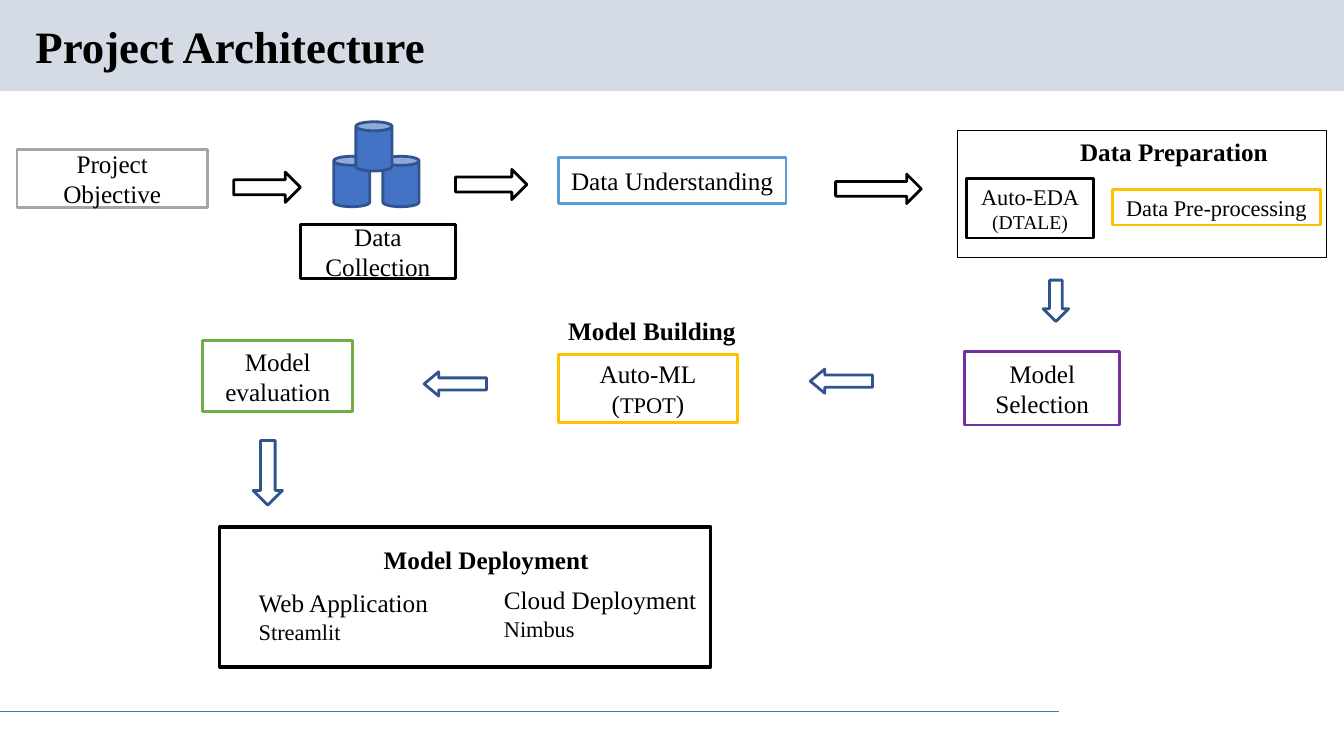
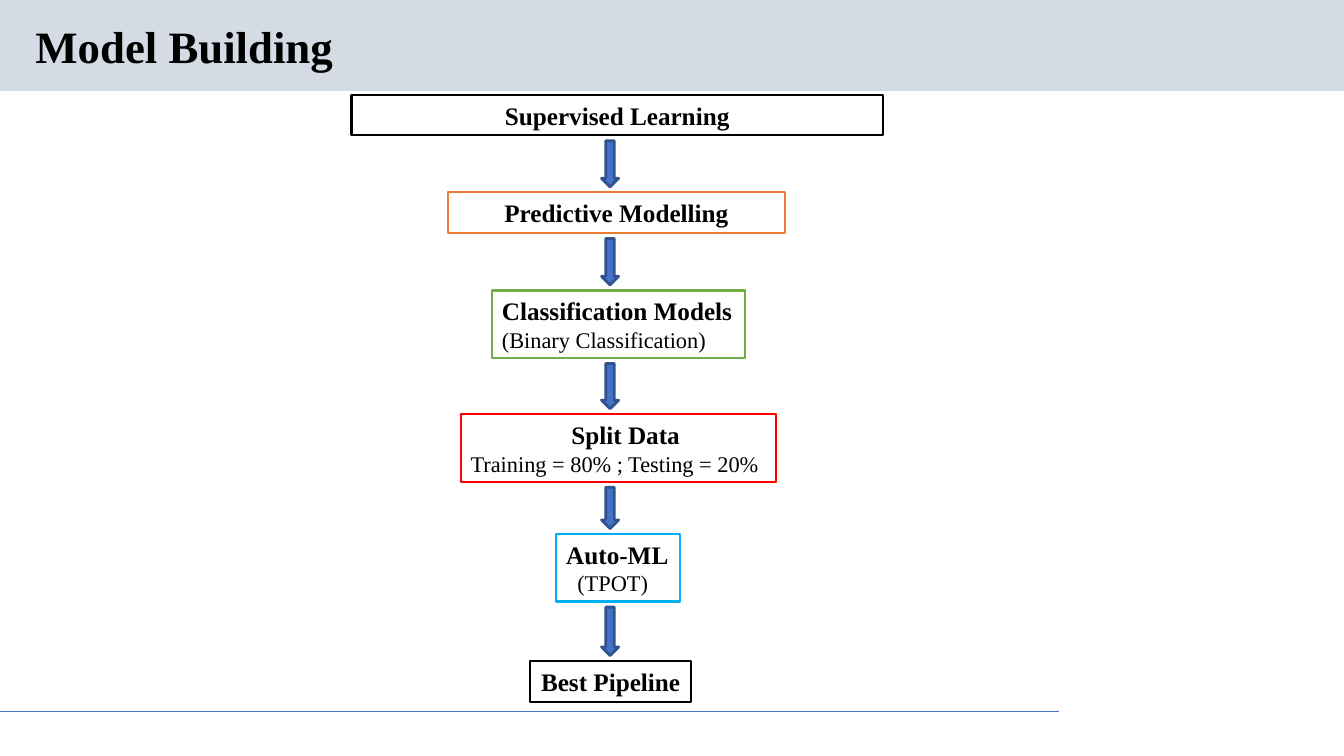
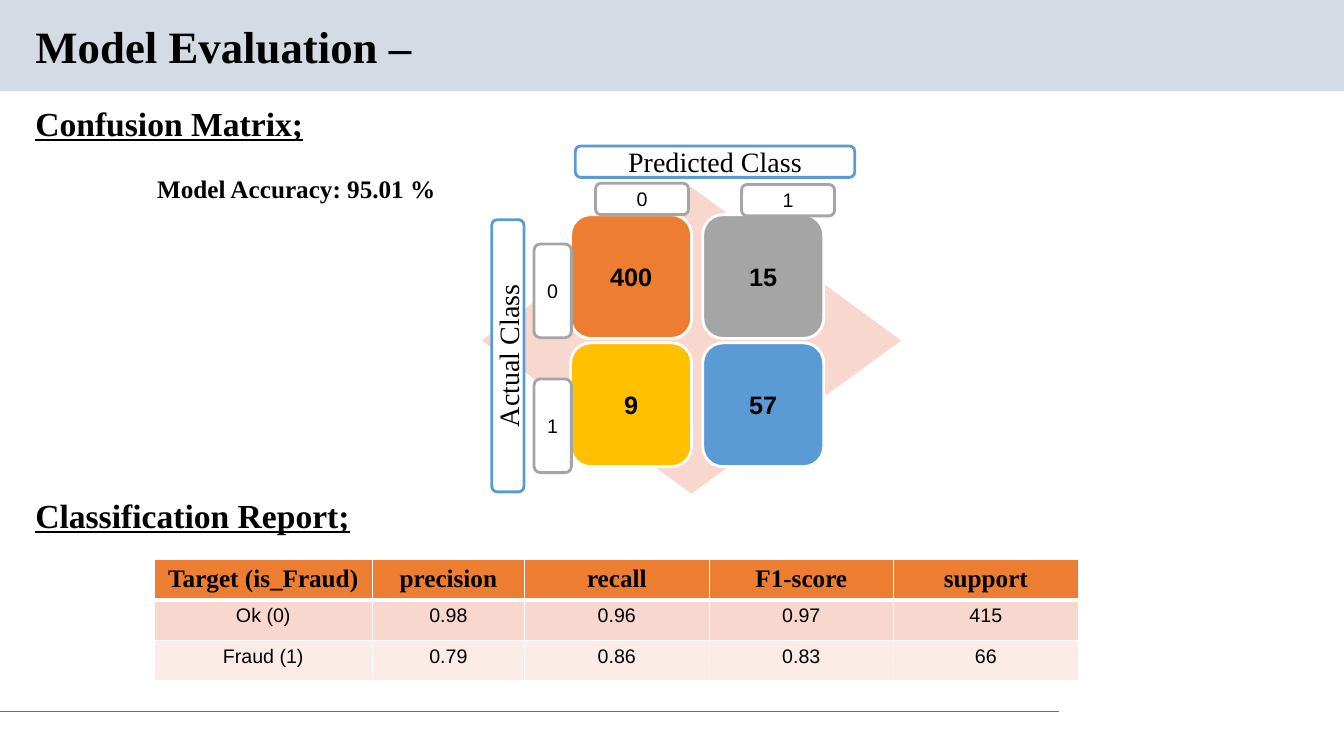
from dataclasses import dataclass
from itertools import pairwise, product

from lxml import etree
from pptx import Presentation
from pptx.dml.color import RGBColor
from pptx.enum.shapes import MSO_CONNECTOR, MSO_SHAPE as Kind
from pptx.enum.text import MSO_ANCHOR, PP_ALIGN as Align
from pptx.oxml.ns import qn
from pptx.util import Cm, Pt

SERIF, SANS = "Times New Roman", "Arial"
COLORS = {
    "band": "D5DBE5", "black": "000000", "white": "FFFFFF", "blue": "4472C4",
    "navy": "31538F", "sky": "5B9BD5", "cyan": "00B0F0", "gray": "A5A5A5",
    "orange": "ED7D31", "gold": "FFC000", "green": "70AD47", "red": "FF0000",
    "purple": "7030A0", "peach": "F8D7CE", "blush": "FCECE8",
}
Rect = tuple[float, float, float, float]  # left, top, width, height in cm


@dataclass(frozen=True)
class Line:
    """One paragraph; text may be split into (text, size) runs."""
    text: str | tuple[tuple[str, int], ...]
    size: int = 18
    bold: bool = False
    font: str = SERIF
    underline: bool = False
    indent: float = 0


@dataclass(frozen=True)
class Box:
    at: Rect
    lines: tuple[Line, ...] = ()
    edge: str | None = "black"
    fill: str | None = None
    weight: float = 2
    kind: Kind = Kind.RECTANGLE
    align: Align = Align.CENTER
    anchor: MSO_ANCHOR = MSO_ANCHOR.MIDDLE
    wrap: bool = True
    rotation: float = 0


def rgb(name: str) -> RGBColor:
    return RGBColor.from_string(COLORS[name])


def place(at: Rect) -> list[Cm]:
    return [Cm(v) for v in at]


def write(tf, lines: tuple[Line, ...], align: Align) -> None:
    for i, line in enumerate(lines):
        p = tf.paragraphs[0] if i == 0 else tf.add_paragraph()
        p.alignment = align
        if line.indent:
            p._p.get_or_add_pPr().set("marL", str(Cm(line.indent)))
        f = p.font
        f.name, f.size, f.bold = line.font, Pt(line.size), line.bold
        f.underline = line.underline
        f.color.rgb = rgb("black")
        if isinstance(line.text, str):
            p.add_run().text = line.text
            continue
        for text, size in line.text:
            r = p.add_run()
            r.text, r.font.size = text, Pt(size)


def draw(slide, box: Box):
    sp = slide.shapes.add_shape(box.kind, *place(box.at))
    sp.shadow.inherit = False
    sp.rotation = box.rotation
    if box.fill:
        sp.fill.solid()
        sp.fill.fore_color.rgb = rgb(box.fill)
    else:
        sp.fill.background()
    if box.edge:
        sp.line.color.rgb = rgb(box.edge)
        sp.line.width = Pt(box.weight)
    else:
        sp.line.fill.background()
    tf = sp.text_frame
    tf.word_wrap, tf.vertical_anchor = box.wrap, box.anchor
    write(tf, box.lines, box.align)
    return sp


def label(slide, at: Rect, *lines: Line) -> None:
    tf = slide.shapes.add_textbox(*place(at)).text_frame
    write(tf, lines, Align.LEFT)


def decorate_layout(layout, slide) -> None:
    """Draw the band and footer rule, then move them to the shared layout."""
    band = draw(slide, Box((0, 0, 33.87, 2.29), fill="band", edge=None))
    rule = slide.shapes.add_connector(
        MSO_CONNECTOR.STRAIGHT, Cm(0), Cm(17.93), Cm(26.7), Cm(17.93))
    rule.line.color.rgb = rgb("blue")
    rule.line.width = Pt(0.75)
    etree.SubElement(rule.element.spPr, qn("a:effectLst"))
    for i, sp in enumerate((band, rule)):
        sp.element.xpath(".//p:cNvPr")[0].set("id", str(101 + i))
        layout.shapes.element.insert(2 + i, sp.element)


def titled_slide(prs, title: str):
    slide = prs.slides.add_slide(prs.slide_layouts[5])
    sp = slide.shapes.title
    sp.left, sp.top, sp.width, sp.height = place((0.64, 0.48, 29.21, 1.5))
    tf = sp.text_frame
    tf.vertical_anchor = MSO_ANCHOR.MIDDLE
    write(tf, (Line(title, 32, True),), Align.LEFT)
    tf.paragraphs[0].line_spacing = 0.9
    return slide


def architecture(slide) -> None:
    for at in ((8.41, 3.94, 0.91, 1.27), (9.65, 3.94, 0.91, 1.27),
               (8.97, 3.07, 0.91, 1.24)):
        draw(slide, Box(at, edge="navy", fill="blue", kind=Kind.CAN))

    draw(slide, Box((24.13, 3.3, 9.3, 3.2),
                    (Line("Data Preparation", bold=True, indent=2.84),),
                    weight=0.75, align=Align.LEFT, anchor=MSO_ANCHOR.TOP))
    draw(slide, Box((5.54, 13.28, 12.37, 3.53), weight=2.25))

    steps = (
        ((0.43, 3.76, 4.8, 1.47), "gray", Line("Project Objective")),
        ((7.57, 5.66, 3.91, 1.37), "black", Line("Data Collection")),
        ((14.07, 3.96, 5.74, 1.17), "sky", Line("Data Understanding")),
        ((24.36, 4.5, 3.2, 1.5), "black", Line("Auto-EDA", 16), Line("(DTALE)", 14)),
        ((28.04, 4.78, 5.23, 0.89), "gold", Line("Data Pre-processing", 16)),
        ((24.31, 8.86, 3.91, 1.85), "purple", Line("Model Selection")),
        ((14.07, 8.94, 4.52, 1.7), "gold", Line("Auto-ML"),
         Line((("(", 18), ("TPOT", 16), (")", 18)))),
        ((5.11, 8.59, 3.78, 1.78), "green", Line("Model evaluation")),
    )
    for at, edge, *lines in steps:
        draw(slide, Box(at, tuple(lines), edge, "white"))

    arrows = (
        (Kind.RIGHT_ARROW, "black", (5.89, 4.34, 1.68, 0.76)),
        (Kind.RIGHT_ARROW, "black", (11.48, 4.27, 1.8, 0.76)),
        (Kind.RIGHT_ARROW, "black", (21.06, 4.39, 2.16, 0.74)),
        (Kind.DOWN_ARROW, "navy", (26.29, 7.06, 0.64, 1.04)),
        (Kind.LEFT_ARROW, "navy", (20.42, 9.3, 1.57, 0.61)),
        (Kind.LEFT_ARROW, "navy", (10.69, 9.37, 1.57, 0.61)),
        (Kind.DOWN_ARROW, "navy", (6.38, 11.1, 0.74, 1.63)),
    )
    for kind, edge, at in arrows:
        sp = draw(slide, Box(at, edge=edge, fill="white", kind=kind))
        if kind == Kind.LEFT_ARROW:
            sp.adjustments[1] = 0.6

    label(slide, (14.07, 7.82, 4.72, 1.02), Line("Model Building", bold=True))
    label(slide, (9.42, 13.59, 5.74, 1.02), Line("Model Deployment", bold=True))
    label(slide, (6.27, 14.68, 4.9, 1.7),
          Line("Web Application"), Line("Streamlit", 16))
    label(slide, (12.45, 14.61, 5.41, 1.7),
          Line("Cloud Deployment"), Line("Nimbus", 16))


def model_building(slide) -> None:
    stages = (
        ((8.86, 2.39, 13.39, 1.02), "black", Line("Supervised Learning", bold=True)),
        ((11.28, 4.85, 8.51, 1.02), "orange", Line("Predictive Modelling", bold=True)),
        ((12.4, 7.32, 6.38, 1.7), "green", Line("Classification Models", bold=True),
         Line("(Binary Classification)", 16)),
        ((11.61, 10.44, 7.95, 1.7), "red", Line("Split Data", bold=True, indent=2.54),
         Line("Training = 80% ; Testing = 20%", 16)),
        ((14.02, 13.46, 3.12, 1.7), "cyan", Line("Auto-ML", bold=True),
         Line("(TPOT)", 16, indent=0.28)),
        ((13.36, 16.66, 4.06, 1.02), "black", Line("Best Pipeline", bold=True)),
    )
    for at, edge, *lines in stages:
        single = len(lines) == 1
        draw(slide, Box(at, tuple(lines), edge, weight=1.5, wrap=False,
                        align=Align.CENTER if single else Align.LEFT))

    clearance = 0.14
    for (upper, *_), (lower, *_) in pairwise(stages):
        top = upper[1] + upper[3] + clearance
        draw(slide, Box((15.16, top, 0.43, lower[1] - clearance - top),
                        edge="navy", fill="blue", kind=Kind.DOWN_ARROW))


def confusion_matrix(slide) -> None:
    draw(slide, Box((12.14, 4.72, 10.57, 7.72), edge=None, fill="peach",
                    kind=Kind.DIAMOND))
    tiles = (("400", "orange"), ("15", "gray"), ("9", "gold"), ("57", "sky"))
    for (row, col), (count, fill) in zip(product(range(2), repeat=2), tiles):
        at = (14.38 + col * 3.33, 5.41 + row * 3.23, 3.05, 3.12)
        draw(slide, Box(at, (Line(count, bold=True, font=SANS),), "white", fill,
                        kind=Kind.ROUNDED_RECTANGLE))

    tags = (
        ((14.5, 3.68, 7.04, 0.79), "sky", Line("Predicted Class", 20), 0),
        ((9.37, 8.56, 6.86, 0.81), "sky", Line("Actual Class", 20), 270),
        ((15.01, 4.62, 2.34, 0.79), "gray", Line("0", 14, font=SANS), 0),
        ((18.69, 4.65, 2.34, 0.79), "gray", Line("1", 14, font=SANS), 0),
        ((13.46, 6.15, 0.94, 2.36), "gray", Line("0", 14, font=SANS), 0),
        ((13.46, 9.55, 0.94, 2.36), "gray", Line("1", 14, font=SANS), 0),
    )
    for at, edge, line, rotation in tags:
        draw(slide, Box(at, (line,), edge, "white", rotation=rotation,
                        kind=Kind.ROUNDED_RECTANGLE))


def set_borders(cell, widths: dict[str, float]) -> None:
    tcPr = cell._tc.get_or_add_tcPr()
    for side, width in widths.items():
        ln = etree.SubElement(tcPr, qn(f"a:ln{side}"), w=str(Pt(width)))
        fill = etree.SubElement(ln, qn("a:solidFill"))
        etree.SubElement(fill, qn("a:srgbClr"), val=COLORS["white"])


def report_table(slide) -> None:
    rows = (
        ("Target (is_Fraud)", "precision", "recall", "F1-score", "support"),
        ("Ok (0)", "0.98", "0.96", "0.97", "415"),
        ("Fraud (1)", "0.79", "0.86", "0.83", "66"),
    )
    widths = (5.49, 3.84, 4.65, 4.65, 4.65)
    height = 1.02
    table = slide.shapes.add_table(
        len(rows), len(widths),
        *place((3.89, 14.1, sum(widths), height * len(rows)))).table
    for column, width in zip(table.columns, widths):
        column.width = Cm(width)
    for i, (row, fill) in enumerate(zip(rows, ("orange", "peach", "blush"))):
        table.rows[i].height = Cm(height)
        for j, text in enumerate(row):
            cell = table.cell(i, j)
            set_borders(cell, {"L": 1, "R": 1, "T": 3 if i == 1 else 1,
                               "B": 3 if i == 0 else 1})
            cell.fill.solid()
            cell.fill.fore_color.rgb = rgb(fill)
            line = Line(text, bold=True) if i == 0 else Line(text, 14, font=SANS)
            write(cell.text_frame, (line,), Align.CENTER)


def evaluation(slide) -> None:
    report_table(slide)
    for text, at in (("Classification Report;", (0.64, 12.34, 8.51, 1.27)),
                     ("Confusion Matrix;", (0.64, 2.46, 7.34, 1.27))):
        label(slide, at, Line(text, 24, True, underline=True))
    label(slide, (3.71, 4.24, 7.95, 1.02),
          Line("Model Accuracy: 95.01 %", bold=True))
    confusion_matrix(slide)


def main() -> None:
    prs = Presentation()
    prs.slide_width, prs.slide_height = Cm(33.87), Cm(19.05)
    pages = (("Project Architecture", architecture),
             ("Model Building", model_building),
             ("Model Evaluation –", evaluation))
    for i, (title, fill_page) in enumerate(pages):
        slide = titled_slide(prs, title)
        if i == 0:
            decorate_layout(slide.slide_layout, slide)
        fill_page(slide)
    prs.save("out.pptx")


if __name__ == "__main__":
    main()
